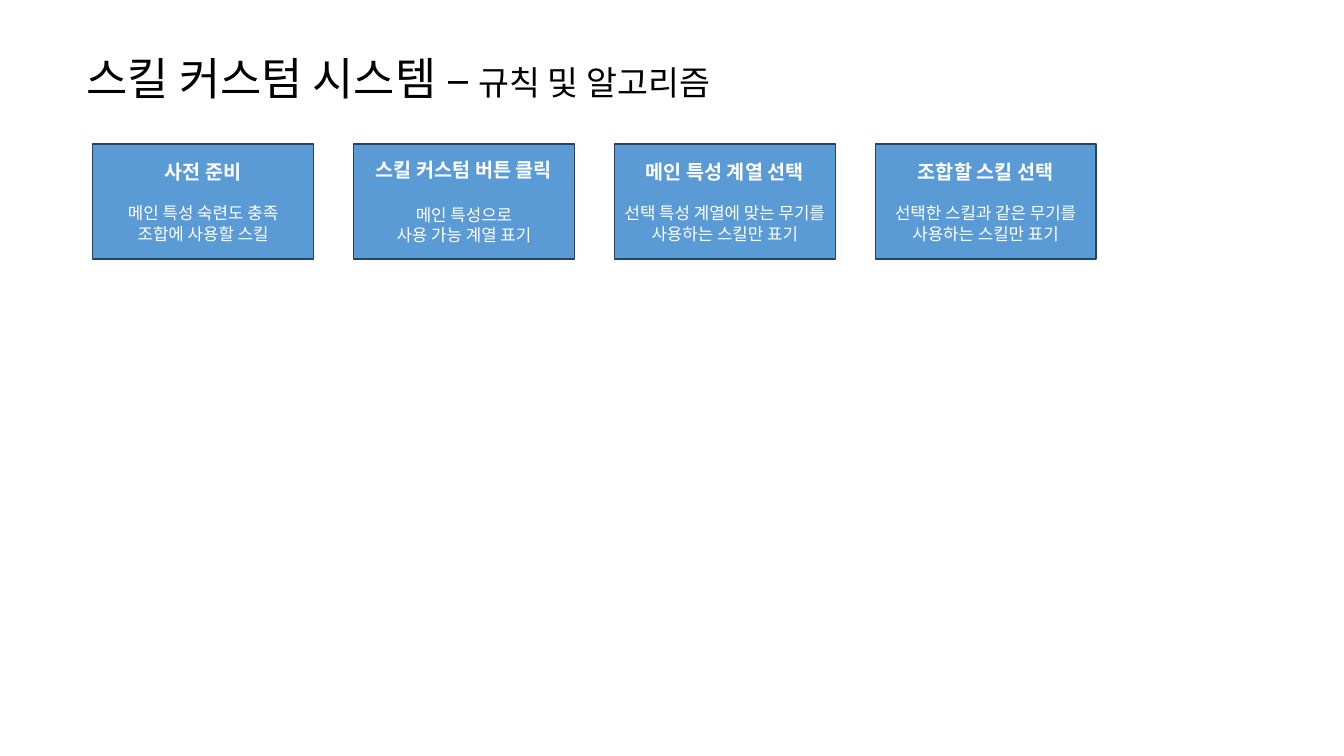
"""Build the skill custom system slide: a title and a row of step boxes."""
from lxml.etree import SubElement
from pptx import Presentation
from pptx.dml.color import RGBColor
from pptx.enum.shapes import MSO_SHAPE as Shape
from pptx.enum.text import MSO_ANCHOR as Anchor, PP_ALIGN as Align
from pptx.oxml.ns import qn
from pptx.util import Inches, Pt

TITLE = [("스킬 커스텀 시스템 –", 32), (" 규칙 및 알고리즘", 24)]
STEPS = [
    ("사전 준비", ["메인 특성 숙련도 충족", "조합에 사용할 스킬"], 14.3),
    ("스킬 커스텀 버튼 클릭", ["메인 특성으로", "사용 가능 계열 표기"], 16.7),
    ("메인 특성 계열 선택", ["선택 특성 계열에 맞는 무기를 사용하는 스킬만 표기"], 14.3),
    ("조합할 스킬 선택", ["선택한 스킬과 같은 무기를 사용하는 스킬만 표기"], 14.3),
]

FONT = "Noto Sans CJK KR"
BLACK = RGBColor(0x00, 0x00, 0x00)
WHITE = RGBColor(0xFF, 0xFF, 0xFF)
BLUE = RGBColor(0x5B, 0x9B, 0xD5)
NAVY = RGBColor(0x28, 0x44, 0x5D)

BOX_LEFT, BOX_TOP, BOX_WIDTH, BOX_HEIGHT = 0.92, 1.43, 2.19, 1.14
BOX_PITCH = 2.587


def add_text(paragraph, text, size=12, color=WHITE, bold=False):
    run = paragraph.add_run()
    run.text = text
    run.font.name = FONT
    run.font.size = Pt(size)
    run.font.bold = bold
    run.font.color.rgb = color
    SubElement(run.font._element, qn("a:ea"), typeface=FONT)


def add_title(slide):
    box = slide.shapes.add_textbox(Inches(0.76), Inches(0.42), Inches(11.81), Inches(0.69))
    frame = box.text_frame
    frame.word_wrap = True
    frame.vertical_anchor = Anchor.MIDDLE
    for text, size in TITLE:
        add_text(frame.paragraphs[0], text, size=size, color=BLACK)


def add_step(slide, index, heading, lines, gap):
    shape = slide.shapes.add_shape(
        Shape.RECTANGLE, Inches(BOX_LEFT + index * BOX_PITCH), Inches(BOX_TOP),
        Inches(BOX_WIDTH), Inches(BOX_HEIGHT))
    shape.shadow.inherit = False
    shape.fill.solid()
    shape.fill.fore_color.rgb = BLUE
    shape.line.color.rgb = NAVY
    shape.line.width = Pt(1)
    frame = shape.text_frame
    frame.word_wrap = True
    frame.vertical_anchor = Anchor.MIDDLE
    paragraph = frame.paragraphs[0]
    paragraph.alignment = Align.CENTER
    paragraph.space_after = Pt(gap)
    add_text(paragraph, heading, size=14, bold=True)
    for line in lines:
        paragraph = frame.add_paragraph()
        paragraph.alignment = Align.CENTER
        add_text(paragraph, line)


def main():
    presentation = Presentation()
    presentation.slide_width = Inches(13.33)
    presentation.slide_height = Inches(7.5)
    slide = presentation.slides.add_slide(presentation.slide_layouts[6])
    add_title(slide)
    for index, (heading, lines, gap) in enumerate(STEPS):
        add_step(slide, index, heading, lines, gap)
    presentation.save("out.pptx")


if __name__ == "__main__":
    main()
